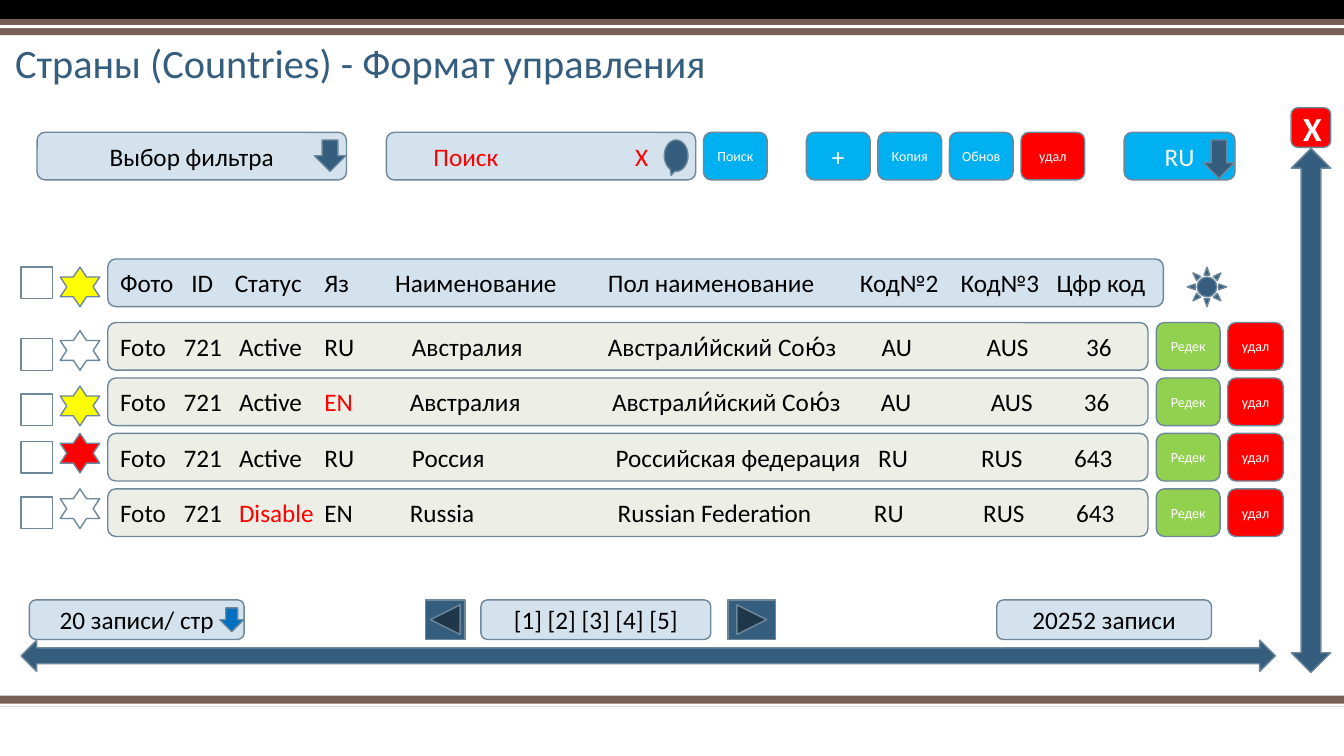
from lxml.etree import SubElement
from pptx import Presentation
from pptx.dml.color import RGBColor
from pptx.enum.shapes import MSO_SHAPE as SHAPE
from pptx.enum.text import MSO_ANCHOR, MSO_AUTO_SIZE, PP_ALIGN
from pptx.oxml.ns import qn
from pptx.util import Pt

BLACK, WHITE, RED, YELLOW = "000000", "FFFFFF", "FF0000", "FFFF00"
BROWN, NAVY, PALE, CREAM = "775F55", "355D7E", "D4E2ED", "EDEEE6"
CYAN, BLUE, GREEN, OUTLINE = "00B0F0", "0070C0", "92D050", "6D879B"


def rgb(value):
    return RGBColor.from_string(value)


class Screen:
    font = "Calibri"
    size = 18
    bar_top = 94.5
    bar_height = 34

    def __init__(self, slide):
        self.s = slide

    def title(self, text, x, y, w, h):
        sp = self.s.shapes.title
        sp.left, sp.top, sp.width, sp.height = Pt(x), Pt(y), Pt(w), Pt(h)
        tf = sp.text_frame
        tf.auto_size = MSO_AUTO_SIZE.NONE
        tf.vertical_anchor = MSO_ANCHOR.BOTTOM
        tf.text = text
        p = tf.paragraphs[0]
        p.alignment = PP_ALIGN.LEFT
        p.line_spacing = 0.9
        p.font.name, p.font.size = self.font, Pt(28.8)
        p.font.color.rgb = rgb(NAVY)

    def shape(self, kind, x, y, w, h, fill, line=OUTLINE):
        sp = self.s.shapes.add_shape(kind, Pt(x), Pt(y), Pt(w), Pt(h))
        sp.shadow.inherit = False
        sp.fill.solid()
        sp.fill.fore_color.rgb = rgb(fill)
        if line:
            sp.line.color.rgb = rgb(line)
            sp.line.width = Pt(1)
        else:
            sp.line.fill.background()
        return sp

    def band(self, y, h, fill):
        self.shape(SHAPE.RECTANGLE, 0, y, 960, h, fill, None)

    def box(self, text, x, y, w, h, fill, color=BLACK, size=size, bold=False):
        sp = self.shape(SHAPE.ROUNDED_RECTANGLE, x, y, w, h, fill)
        tf = sp.text_frame
        tf.word_wrap = True
        tf.vertical_anchor = MSO_ANCHOR.MIDDLE
        p = tf.paragraphs[0]
        p.alignment = PP_ALIGN.CENTER
        p.font.name, p.font.size, p.font.bold = self.font, Pt(size), bold
        p.font.color.rgb = rgb(color)
        if text:
            p.add_run().text = text
        return tf

    def button(self, text, x, y, w, fill, size=10):
        self.box(text, x, y, w, self.bar_height, fill, WHITE, size)

    def columns(self, cells, stops, x, y, w, fill, color=BLACK, marked=None, inset=7.2):
        tf = self.box("", x, y, w, self.bar_height, fill, color)
        tf.margin_left = Pt(inset)
        p = tf.paragraphs[0]
        p.alignment = PP_ALIGN.LEFT
        tabs = SubElement(p._p.get_or_add_pPr(), qn("a:tabLst"))
        p._p.pPr.insert(0, tabs)
        for stop in stops:
            SubElement(tabs, qn("a:tab"), pos=str(Pt(stop)), algn="l")
        for i, cell in enumerate(cells):
            r = p.add_run()
            r.text = cell if i == 0 else "\t" + cell
            if i == marked:
                r.font.color.rgb = rgb(RED)

    def marks(self, star_top, check_top, fill):
        self.shape(SHAPE.STAR_6_POINT, 43, star_top, 28.3, 28.3, fill)
        self.shape(SHAPE.RECTANGLE, 15, check_top, 22.5, 22.5, WHITE)


HEADER = ["Фото", "ID", "Статус", "Яз", "Наименование", "Пол наименование",
          "Код№2", "Код№3", "Цфр код"]
HEADER_STOPS = [51, 82, 146, 196.5, 348.5, 528.5, 600.5, 669]
ROW_STOPS = [45.5, 85, 146]
ROWS = [
    (["Active", "RU", "Австралия", "Австрали́йский Сою́з", "AU", "AUS", "36"],
     None, WHITE, 5.8, [208.5, 348.5, 544, 619, 690]),
    (["Active", "EN", "Австралия", "Австрали́йский Сою́з", "AU", "AUS", "36"],
     3, YELLOW, 5.8, [207, 351.5, 543.5, 622, 688.5]),
    (["Active", "RU", "Россия", "Российская федерация", "RU", "RUS", "643"],
     None, RED, 0, [208.5, 354, 541.5, 615, 681.5]),
    (["Disable", "EN", "Russia", "Russian Federation", "RU", "RUS", "643"],
     2, WHITE, 0, [207, 355.5, 538.5, 616.5, 683]),
]


def main():
    prs = Presentation()
    prs.slide_width, prs.slide_height = Pt(960), Pt(540)
    scr = Screen(prs.slides.add_slide(prs.slide_layouts[5]))
    top = scr.bar_top

    for band in [(496.8, 7.9, BROWN), (502.6, 2.2, WHITE), (0, 13.7, BLACK),
                 (13.7, 11.5, BROWN), (18, 2.2, WHITE)]:
        scr.band(*band)
    scr.title("Страны (Countries) - Формат управления", 3.6, 26, 836, 39.6)

    scr.box("Выбор фильтра", 26.5, top, 221, 34, PALE)
    scr.shape(SHAPE.DOWN_ARROW, 224.5, 100, 22.5, 22.5, NAVY)
    scr.columns(["Поиск", "Х"], [144], 276, top, 221, PALE, RED, inset=32)
    scr.shape(SHAPE.OVAL_CALLOUT, 474.5, 100, 17, 22.5, NAVY)
    scr.button("Поиск", 502.5, top, 45.5, CYAN)
    actions = [("+", CYAN, 18), ("Копия", CYAN, 10), ("Обнов", CYAN, 10), ("удал", RED, 10)]
    for i, (text, fill, size) in enumerate(actions):
        scr.button(text, 576 + 51.1 * i, top, 45.5, fill, size)
    scr.button("RU", 803, top, 79.2, CYAN, 18)
    scr.shape(SHAPE.DOWN_ARROW, 859.5, 100, 22.5, 27.5, NAVY)

    scr.marks(190.8, 190.8, YELLOW)
    scr.columns(HEADER, HEADER_STOPS, 77, 185, 754, PALE)
    scr.shape(SHAPE.SUN, 848, 190.8, 28.3, 28.3, NAVY)
    for i, (cells, marked, star, drop, stops) in enumerate(ROWS):
        y = 230.4 + 39.6 * i
        scr.marks(y + drop, y + drop + 5.8, star)
        scr.columns(["Foto", "721"] + cells, ROW_STOPS + stops, 77, y, 743, CREAM,
                    marked=marked)
        scr.button("Редек", 826, y, 45.5, GREEN)
        scr.button("удал", 877, y, 39.6, RED)

    scr.shape(SHAPE.UP_DOWN_ARROW, 922.3, 106, 28.3, 374.4, NAVY)
    scr.shape(SHAPE.LEFT_RIGHT_ARROW, 15, 457.2, 896, 22.5, NAVY)
    scr.box("Х", 922.3, 77, 28.3, 28.3, RED, WHITE, 24, True)

    for text, x, w in [("20 записи/ стр", 21, 153.4), ("[1] [2] [3] [4] [5]", 343.5, 164.2),
                       ("20252 записи", 712, 153.4)]:
        scr.box(text, x, 428.5, w, 28.3, PALE)
    scr.shape(SHAPE.DOWN_ARROW, 157, 434.2, 17, 17, BLUE)
    scr.shape(SHAPE.ACTION_BUTTON_BACK_OR_PREVIOUS, 304, 428.5, 28.3, 28.3, NAVY)
    scr.shape(SHAPE.ACTION_BUTTON_FORWARD_OR_NEXT, 520, 428.5, 34, 28.3, NAVY)

    prs.save("out.pptx")


if __name__ == "__main__":
    main()
